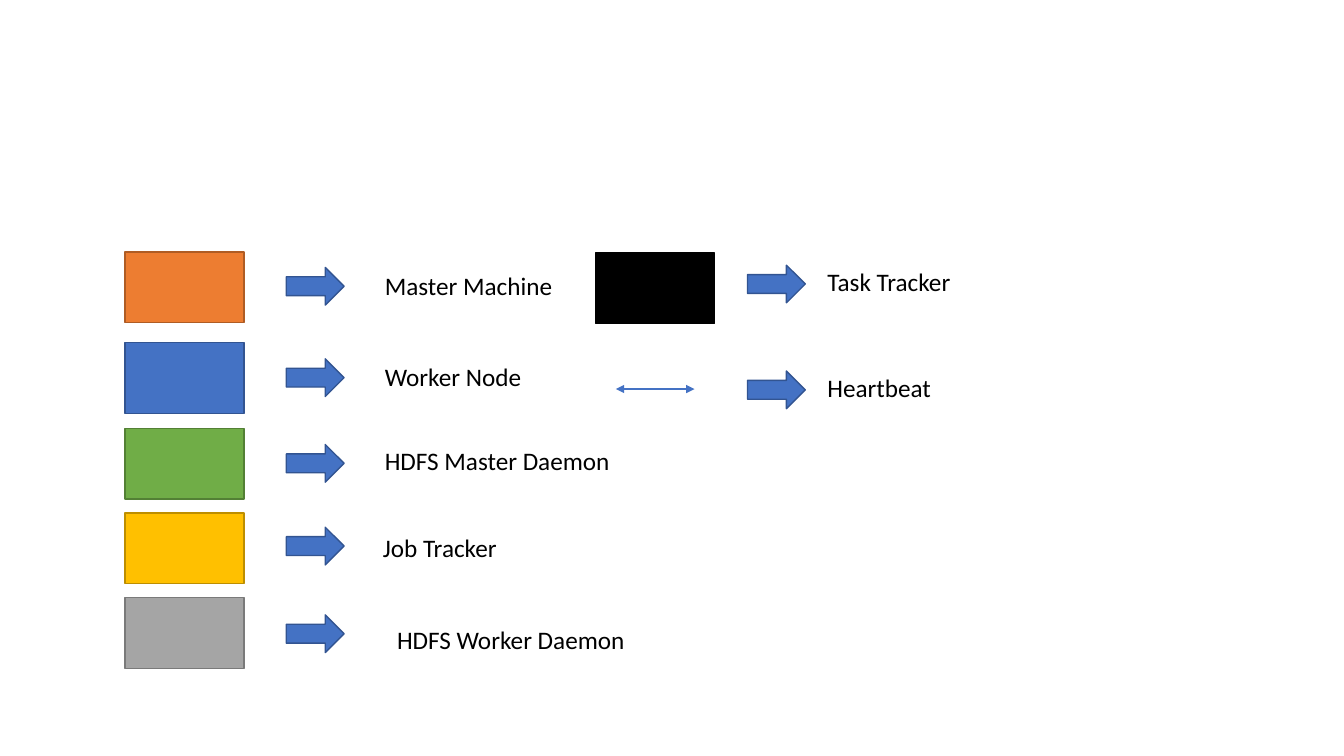
from dataclasses import dataclass

import pptx
import pptx.dml.color
import pptx.enum.shapes
import pptx.enum.text
import pptx.oxml.ns
import pptx.util
from lxml import etree

Pt = pptx.util.Pt
SHAPE = pptx.enum.shapes.MSO_SHAPE


@dataclass(frozen=True)
class Theme:
    font: str = "Calibri"
    label_size: float = 18
    outline: float = 1
    heartbeat_line: float = 1.5
    text: str = "000000"
    blue: tuple = ("4472C4", "325491")
    orange: tuple = ("ED7D31", "AF5C24")
    green: tuple = ("70AD47", "538035")
    gold: tuple = ("FFC000", "BD8E00")
    grey: tuple = ("A5A5A5", "7A7A7A")
    black: tuple = ("000000", "000000")


THEME = Theme()
SWATCH_W, SWATCH_H = 85, 50.4
ARROW_W, ARROW_H = 41.3, 26.9
LABEL_H = 29.08


def rgb(value):
    return pptx.dml.color.RGBColor.from_string(value)


def add_block(slide, kind, x, y, w, h, colours):
    fill, line = colours
    sp = slide.shapes.add_shape(kind, Pt(x), Pt(y), Pt(w), Pt(h))
    sp.shadow.inherit = False
    sp.fill.solid()
    sp.fill.fore_color.rgb = rgb(fill)
    sp.line.color.rgb = rgb(line)
    sp.line.width = Pt(THEME.outline)


def add_label(slide, text, x, y, w):
    sp = slide.shapes.add_textbox(Pt(x), Pt(y), Pt(w), Pt(LABEL_H))
    tf = sp.text_frame
    tf.word_wrap = False
    tf.auto_size = pptx.enum.text.MSO_AUTO_SIZE.SHAPE_TO_FIT_TEXT
    r = tf.paragraphs[0].add_run()
    r.text = text
    r.font.name = THEME.font
    r.font.size = Pt(THEME.label_size)
    r.font.color.rgb = rgb(THEME.text)


def add_heartbeat(slide, x, y):
    """Draw a double-headed line centred in the swatch area at x, y."""
    inset, mid = 14.4, y + SWATCH_H / 2
    cn = slide.shapes.add_connector(
        pptx.enum.shapes.MSO_CONNECTOR.STRAIGHT,
        Pt(x + inset), Pt(mid), Pt(x + SWATCH_W - inset), Pt(mid))
    cn.line.color.rgb = rgb(THEME.blue[0])
    cn.line.width = Pt(THEME.heartbeat_line)
    ln = cn.line._get_or_add_ln()
    for end in ("a:headEnd", "a:tailEnd"):
        etree.SubElement(ln, pptx.oxml.ns.qn(end), type="triangle")
    etree.SubElement(cn._element.spPr, pptx.oxml.ns.qn("a:effectLst"))


def add_legend(slide, x, arrow_dx, entries):
    """Place one column of swatch, arrow and label rows.

    Each entry holds text, colours (None for the heartbeat line), row top,
    arrow drop, and the label's offset from x, drop and width.
    """
    for text, colours, top, arrow_dy, label_dx, label_dy, label_w in entries:
        if colours:
            add_block(slide, SHAPE.RECTANGLE, x, top, SWATCH_W, SWATCH_H, colours)
        else:
            add_heartbeat(slide, x, top)
        add_block(slide, SHAPE.RIGHT_ARROW, x + arrow_dx, top + arrow_dy,
                  ARROW_W, ARROW_H, THEME.blue)
        add_label(slide, text, x + label_dx, top + label_dy, label_w)


def main():
    prs = pptx.Presentation()
    prs.slide_width, prs.slide_height = Pt(960), Pt(540)
    slide = prs.slides.add_slide(prs.slide_layouts[6])
    add_legend(slide, 89.3, 115.2, [
        ("Master Machine", THEME.orange, 180, 11, 178.5, 9.4, 135.4),
        ("Worker Node", THEME.blue, 244.8, 11.5, 178.5, 10.1, 113),
        ("HDFS Master Daemon", THEME.green, 306, 11.5, 178.5, 8.9, 177.1),
        ("Job Tracker", THEME.gold, 366.5, 10.1, 177.1, 10.1, 96.5),
        ("HDFS Worker Daemon", THEME.grey, 427, 12.2, 187.2, 15.1, 178.6),
    ])
    add_legend(slide, 425.5, 108.4, [
        ("Task Tracker", THEME.black, 180.7, 8.7, 158.4, 5.8, 103),
        ("Heartbeat", None, 252.7, 12.3, 158.4, 9.4, 89.3),
    ])
    prs.save("out.pptx")


if __name__ == "__main__":
    main()
